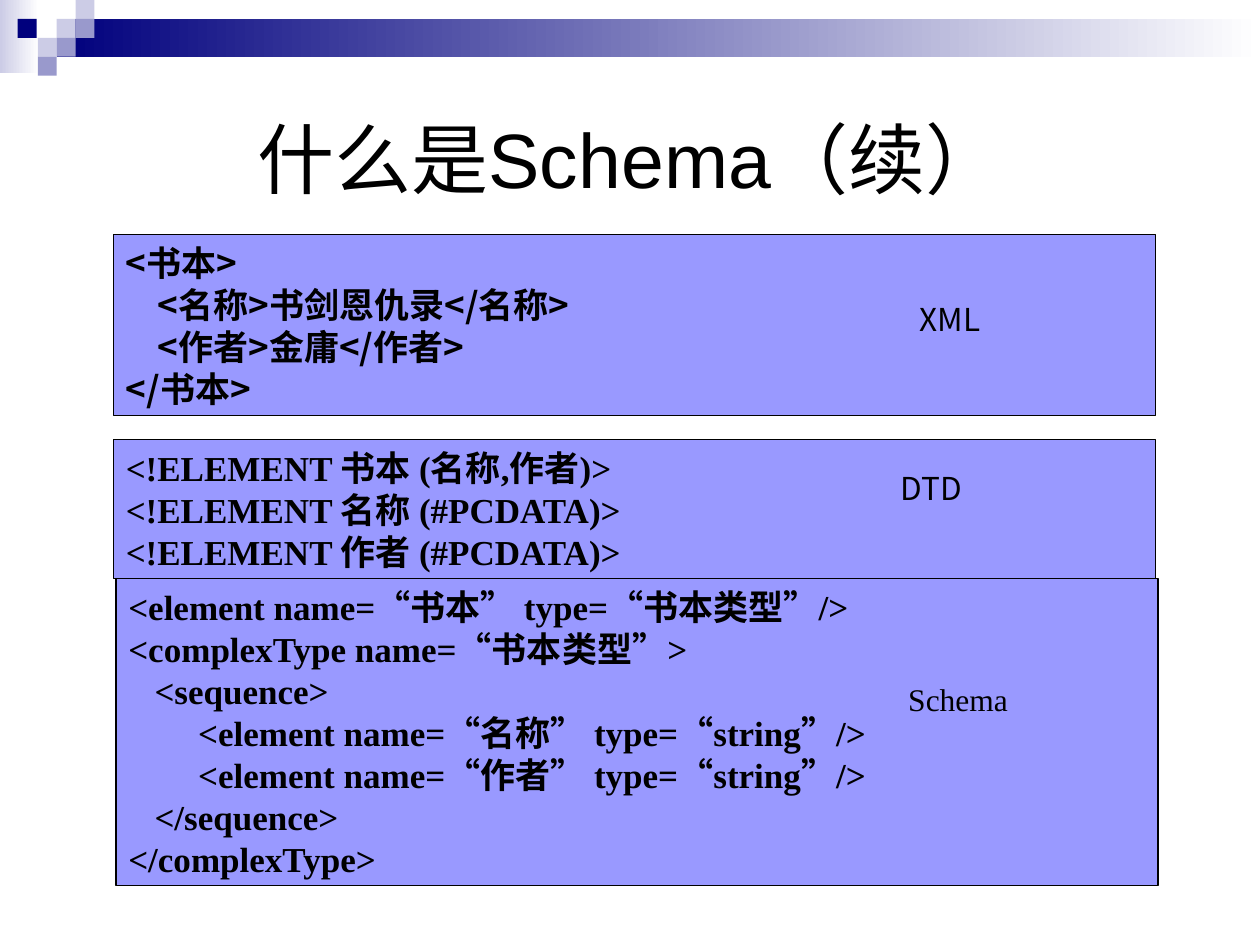
"""Build a slide comparing XML, DTD and Schema code for one book."""
from pptx import Presentation, util as u
from pptx.dml.color import RGBColor
from pptx.enum import shapes, text
from pptx.oxml.ns import qn
from lxml import etree

CJK, SERIF = "Noto Sans CJK SC", "Times New Roman"
TITLE = "什么是Schema（续）"
GRADIENT_BARS = [((0, 0, 0.31, 0.58), "CCCCE6"), ((0.45, 0.15, 9.55, 0.3), "00007D")]
SQUARE = 0.15
SQUARES = [
    (0.45, 0.15, "CCCCE6"), (0.6, 0, "CCCCE6"), (0.6, 0.15, "9999CC"),
    (0.3, 0.3, "CCCCE6"), (0.14, 0.15, "00007D"), (0.45, 0.3, "9999CC"),
    (0.3, 0.45, "9999CC"),
]
CODE_WIDTH = 8.27
CODE_BOXES = [
    (0.92, 4.59, 2.44, SERIF, [
        "<element name=“书本” type=“书本类型”/>",
        "<complexType name=“书本类型”>",
        "   <sequence>",
        "        <element name=“名称” type=“string”/>",
        "        <element name=“作者” type=“string”/>",
        "   </sequence>",
        "</complexType>",
    ]),
    (0.9, 1.86, 1.44, CJK, [
        "<书本>",
        "    <名称>书剑恩仇录</名称>",
        "    <作者>金庸</作者>",
        "</书本>",
    ]),
    (0.9, 3.49, 1.1, SERIF, [
        "<!ELEMENT 书本 (名称,作者)>",
        "<!ELEMENT 名称 (#PCDATA)>",
        "<!ELEMENT 作者 (#PCDATA)>",
    ]),
]
LABELS = [(7.2, 2.33, "XML", CJK), (7.05, 3.67, "DTD", CJK), (7.11, 5.35, "Schema", SERIF)]


def color(value):
    return RGBColor.from_string(value)


def inches(values):
    return [u.Inches(value) for value in values]


def add_rectangle(slide, box, fill=None):
    shape = slide.shapes.add_shape(shapes.MSO_SHAPE.RECTANGLE, *inches(box))
    shape.shadow.inherit = False
    shape.line.fill.background()
    if fill:
        shape.fill.solid()
        shape.fill.fore_color.rgb = color(fill)
    return shape


def add_gradient_bar(slide, box, start):
    fill = add_rectangle(slide, box).fill
    fill.gradient()
    fill.gradient_angle = 0
    for stop, value in zip(fill.gradient_stops, (start, "FFFFFF")):
        stop.color.rgb = color(value)


def write_lines(frame, lines, paragraph_format, font_format):
    for index, line in enumerate(lines):
        paragraph = frame.add_paragraph() if index else frame.paragraphs[0]
        for name, value in paragraph_format.items():
            setattr(paragraph, name, value)
        run = paragraph.add_run()
        run.text = line
        for name, value in font_format.items():
            setattr(run.font, name, value)
        run.font.color.rgb = color("000000")
        properties = run.font._element
        properties.set("lang", "zh-CN")
        etree.SubElement(properties, qn("a:ea")).set("typeface", CJK)


def main():
    presentation = Presentation()
    presentation.slide_width, presentation.slide_height = inches((10, 7.5))
    slide = presentation.slides.add_slide(presentation.slide_layouts[5])

    for box, start in GRADIENT_BARS:
        add_gradient_bar(slide, box, start)
    for left, top, fill in SQUARES:
        add_rectangle(slide, (left, top, SQUARE, SQUARE), fill)

    title = slide.shapes.title
    title.left, title.top, title.width, title.height = inches((0.5, 0.5, 9, 1.5))
    title.text_frame.vertical_anchor = text.MSO_ANCHOR.MIDDLE
    write_lines(title.text_frame, [TITLE], {"alignment": text.PP_ALIGN.CENTER},
                {"size": u.Pt(44), "name": "Arial"})

    code_format = {"alignment": text.PP_ALIGN.LEFT, "line_spacing": u.Pt(24)}
    for left, top, height, font, lines in CODE_BOXES:
        shape = add_rectangle(slide, (left, top, CODE_WIDTH, height), "9999FF")
        shape.line.color.rgb = color("000000")
        shape.line.width = u.Pt(0.75)
        shape.text_frame.vertical_anchor = text.MSO_ANCHOR.MIDDLE
        write_lines(shape.text_frame, lines, code_format,
                    {"size": u.Pt(20), "bold": True, "name": font})

    for left, top, label, font in LABELS:
        frame = slide.shapes.add_textbox(*inches((left, top, 1.65, 0.5))).text_frame
        frame.word_wrap = False
        write_lines(frame, [label], {}, {"size": u.Pt(18), "name": font})

    presentation.save("out.pptx")


if __name__ == "__main__":
    main()
